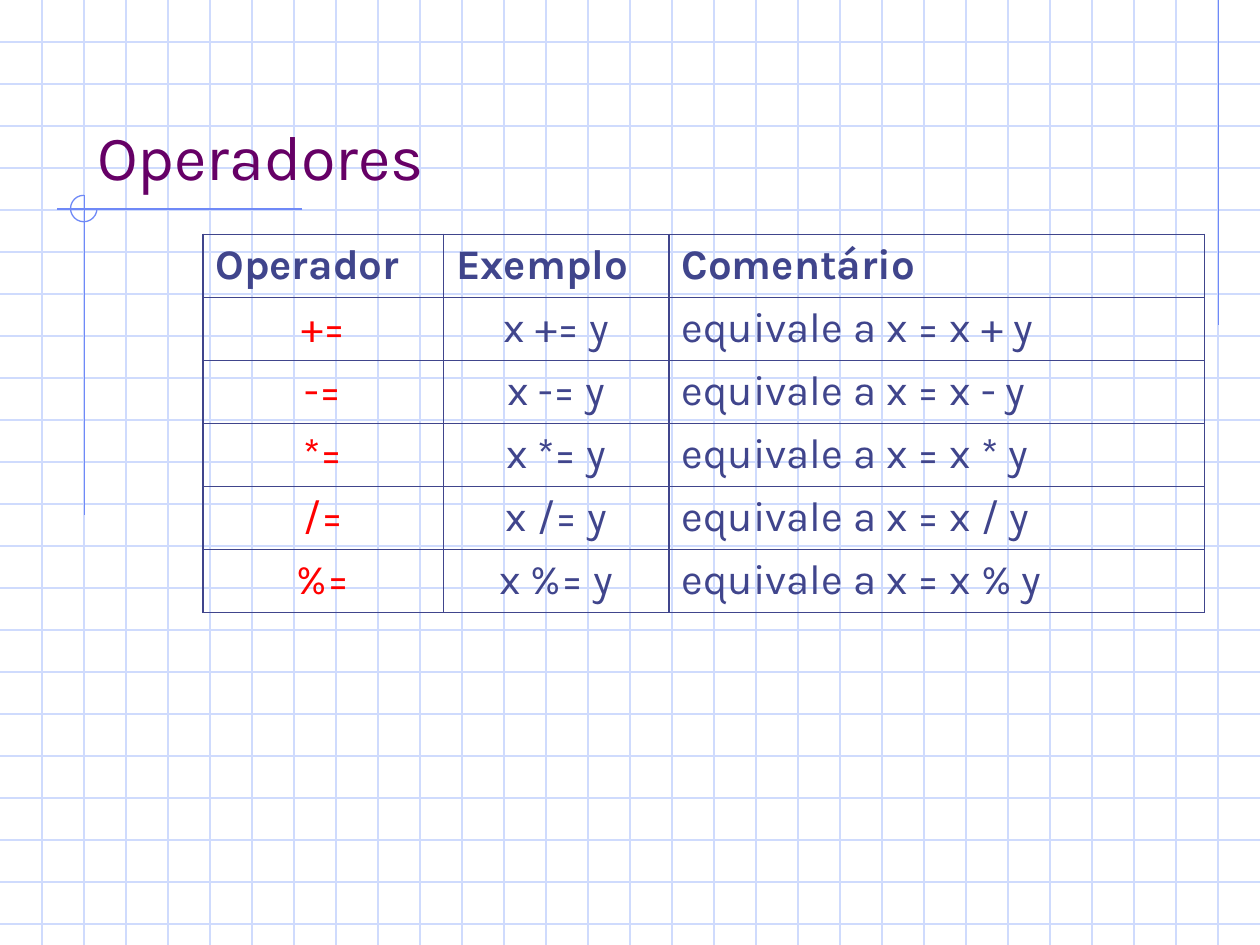
from lxml import etree
from pptx import Presentation
from pptx.dml.color import RGBColor
from pptx.enum.shapes import MSO_CONNECTOR, MSO_SHAPE
from pptx.enum.text import MSO_ANCHOR, MSO_AUTO_SIZE, PP_ALIGN
from pptx.oxml import parse_xml
from pptx.oxml.ns import nsdecls, qn
from pptx.util import Inches, Pt

STRAIGHT = MSO_CONNECTOR.STRAIGHT
ARC = MSO_SHAPE.ARC
BOTTOM = MSO_ANCHOR.BOTTOM
NO_AUTOFIT = MSO_AUTO_SIZE.NONE
LEFT, CENTER = PP_ALIGN.LEFT, PP_ALIGN.CENTER

GRID_BLUE = RGBColor(0xCF, 0xDB, 0xFD)
ACCENT_BLUE = RGBColor(0x6F, 0x89, 0xF7)
PURPLE = RGBColor(0x66, 0x00, 0x66)
INDIGO = RGBColor(0x40, 0x45, 0x8C)
RED = RGBColor(0xFF, 0x00, 0x00)

FONT = "Karla"
WIDTH, HEIGHT = 10, 7.5
CELLS_PER_INCH = 3
HEADERS = ["Operador", "Exemplo", "Comentário"]
OPERATORS = "+-*/%"
COLUMN_WIDTHS = [1.91, 1.79, 4.25]
ROW_HEIGHT = 0.5


def format_paragraph(para, size, color, align=LEFT, bold=False):
    para.alignment = align
    para.font.name = FONT
    para.font.size = Pt(size)
    para.font.bold = bold
    para.font.color.rgb = color


def add_line(page, x1, y1, x2, y2, color):
    line = page.shapes.add_connector(
        STRAIGHT, Inches(x1), Inches(y1), Inches(x2), Inches(y2))
    line.line.color.rgb = color
    line.line.width = Pt(0.75)
    etree.SubElement(line.element.spPr, qn("a:effectLst"))


def add_grid(page):
    for index in range(1, int(HEIGHT * CELLS_PER_INCH) + 1):
        y = index / CELLS_PER_INCH
        add_line(page, 0, y, WIDTH, y, GRID_BLUE)
    for index in range(1, WIDTH * CELLS_PER_INCH):
        x = index / CELLS_PER_INCH
        add_line(page, x, 0, x, HEIGHT, GRID_BLUE)


def add_accents(page):
    add_line(page, 9.67, 0, 9.67, 2.58, ACCENT_BLUE)
    add_line(page, 2.4, 1.66, 0.45, 1.66, ACCENT_BLUE)
    add_line(page, 0.67, 1.55, 0.67, 4.09, ACCENT_BLUE)
    arc = page.shapes.add_shape(
        ARC, Inches(0.56), Inches(1.55), Inches(0.21), Inches(0.21))
    arc.adjustments[0] = 0
    arc.adjustments[1] = 162
    arc.shadow.inherit = False
    arc.fill.background()
    arc.line.color.rgb = ACCENT_BLUE
    arc.line.width = Pt(0.75)


def set_title(page, text):
    title = page.shapes.title
    title.left, title.top = Inches(0.67), Inches(0.33)
    title.width, title.height = Inches(8.5), Inches(1.25)
    frame = title.text_frame
    frame.text = text
    frame.word_wrap = True
    frame.auto_size = NO_AUTOFIT
    frame.vertical_anchor = BOTTOM
    format_paragraph(frame.paragraphs[0], 36, PURPLE)
    title.element.getparent().append(title.element)


def set_borders(cell, color, points):
    properties = cell._tc.get_or_add_tcPr()
    for side in ("lnL", "lnR", "lnT", "lnB"):
        properties.append(parse_xml(
            f'<a:{side} {nsdecls("a")} w="{Pt(points)}"><a:solidFill>'
            f'<a:srgbClr val="{color}"/></a:solidFill></a:{side}>'))


def fill_cell(cell, text, color, align, bold):
    set_borders(cell, INDIGO, 1)
    cell.fill.background()
    cell.text = text
    format_paragraph(cell.text_frame.paragraphs[0], 24, color, align, bold)


def add_operator_table(page):
    rows = [HEADERS] + [
        [f"{sign}=", f"x {sign}= y", f"equivale a x = x {sign} y"]
        for sign in OPERATORS]
    table = page.shapes.add_table(
        len(rows), len(HEADERS), Inches(1.61), Inches(1.86),
        Inches(sum(COLUMN_WIDTHS)), Inches(ROW_HEIGHT * len(rows))).table
    table.first_row = False
    table.horz_banding = False
    for column, width in zip(table.columns, COLUMN_WIDTHS):
        column.width = Inches(width)
    for row_index, texts in enumerate(rows):
        header = row_index == 0
        for column_index, text in enumerate(texts):
            color = RED if column_index == 0 and not header else INDIGO
            align = LEFT if header or column_index == 2 else CENTER
            fill_cell(table.cell(row_index, column_index),
                      text, color, align, header)


def main():
    deck = Presentation()
    deck.slide_width, deck.slide_height = Inches(WIDTH), Inches(HEIGHT)
    page = deck.slides.add_slide(deck.slide_layouts[5])
    add_grid(page)
    add_accents(page)
    set_title(page, "Operadores")
    add_operator_table(page)
    deck.save("out.pptx")


main()
